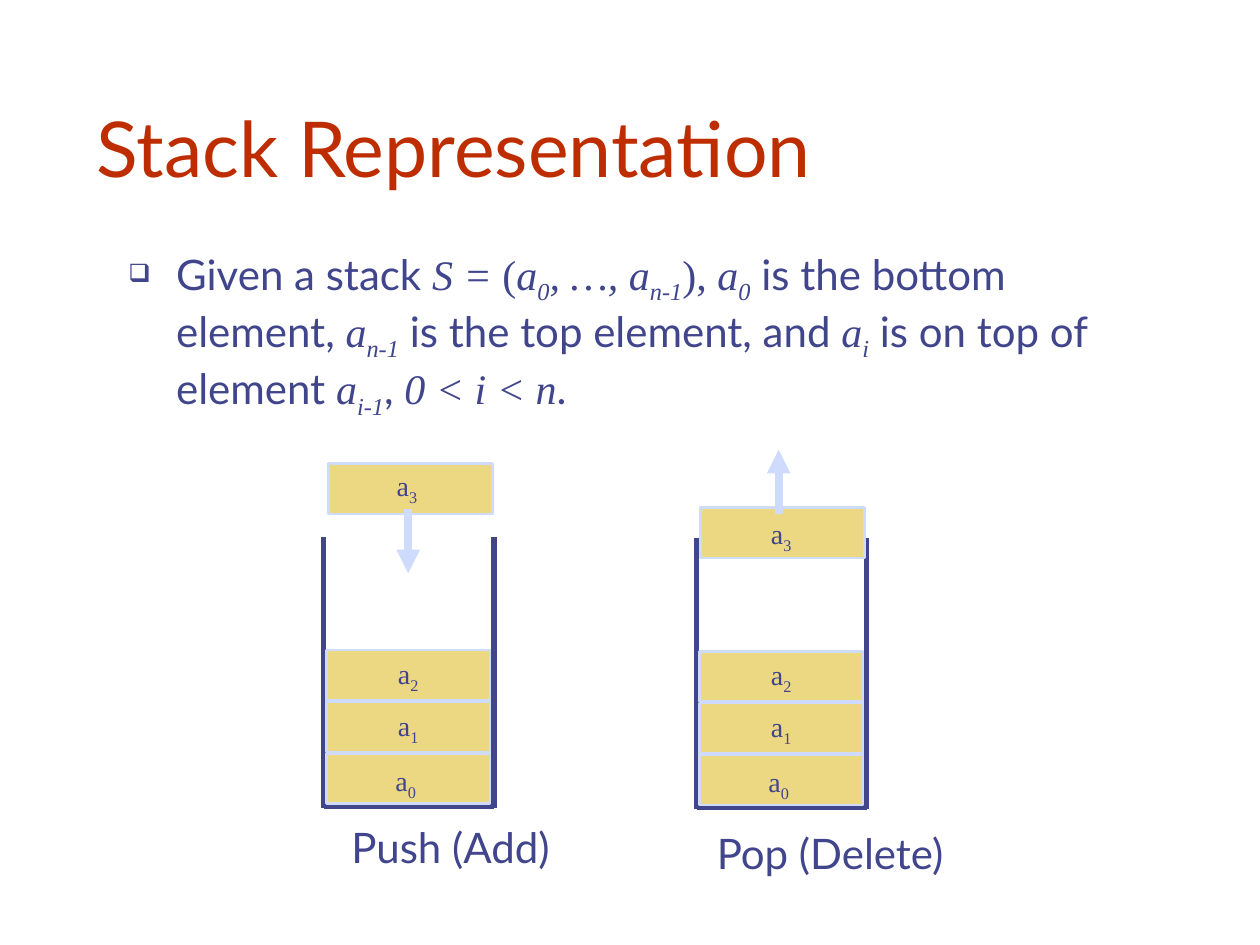
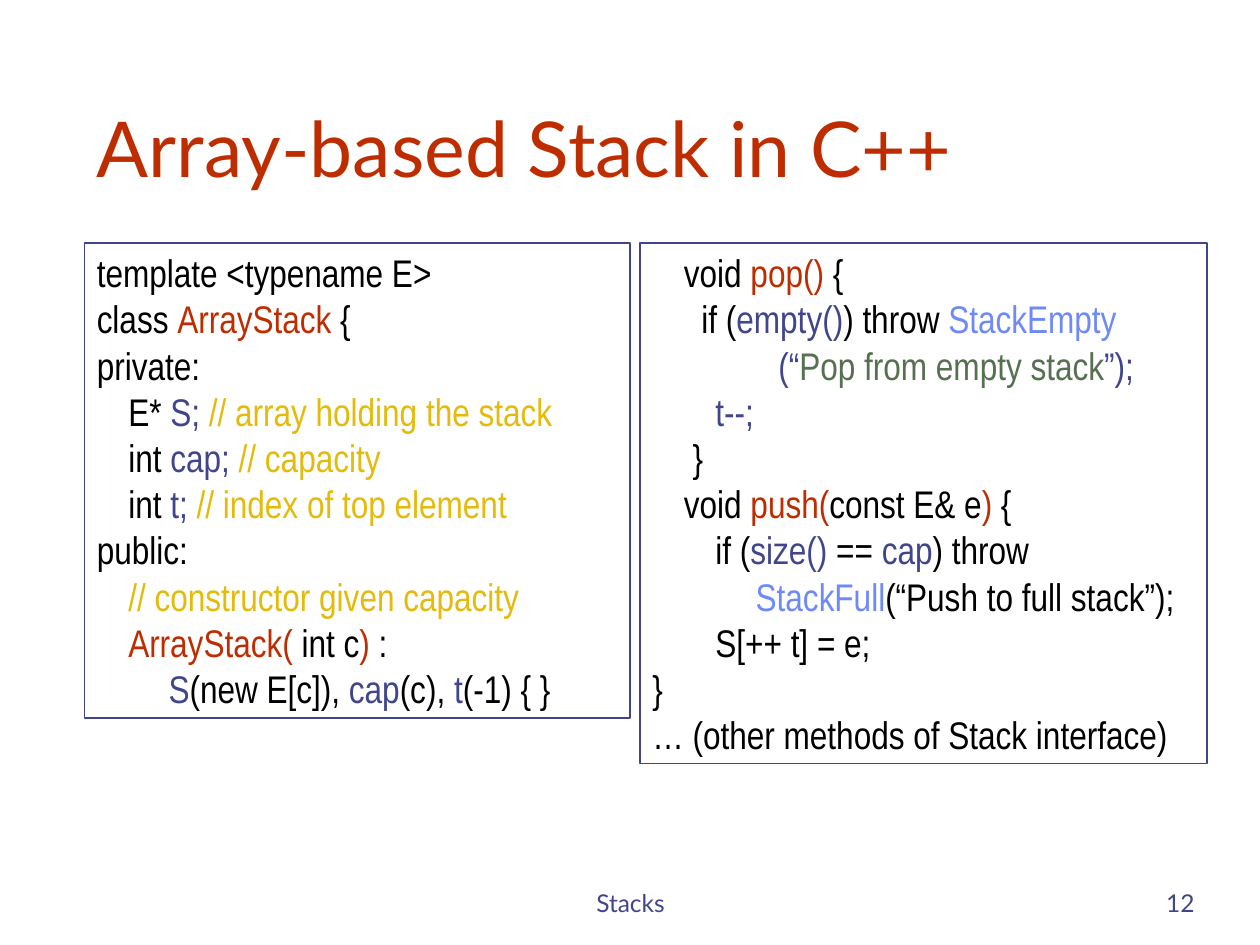
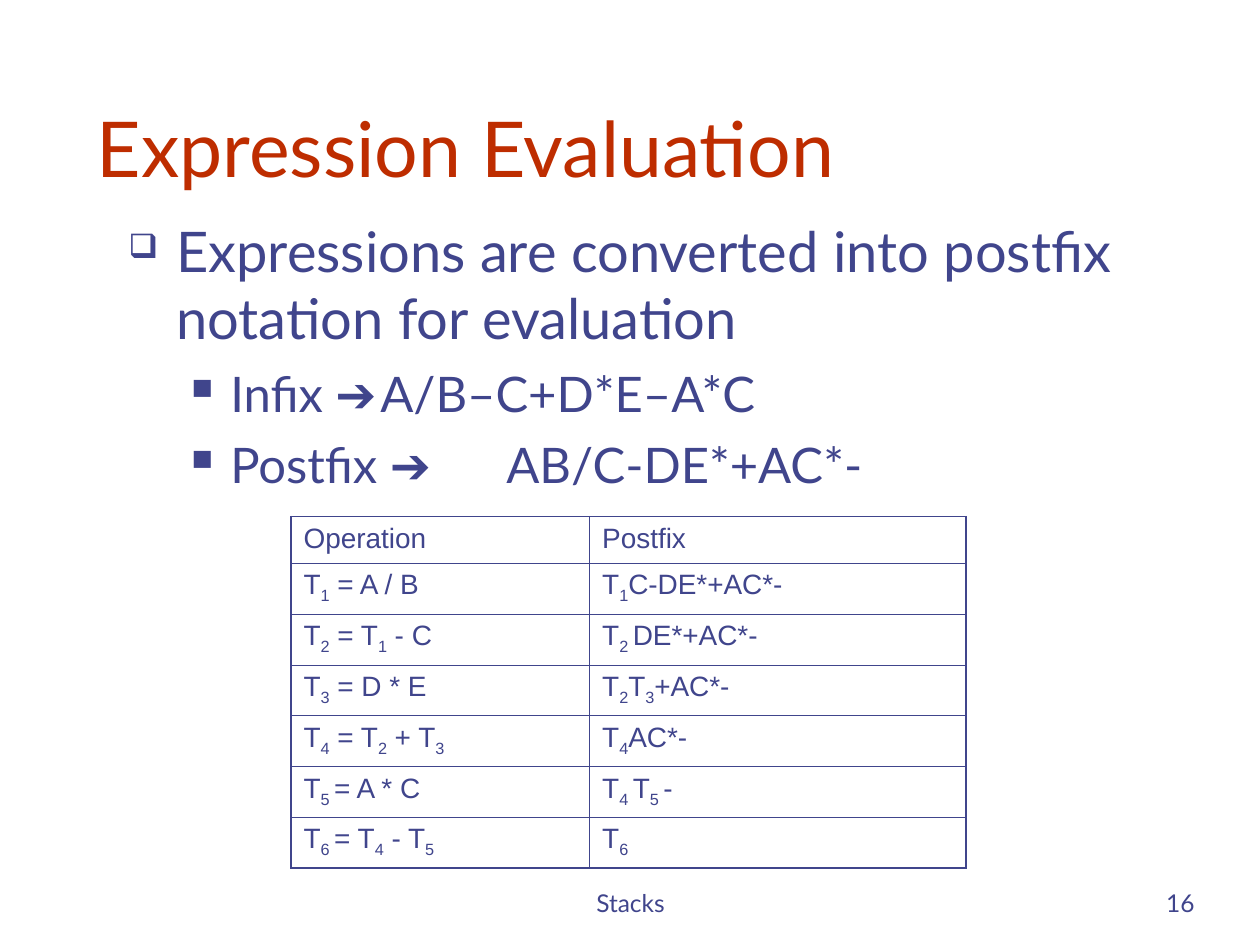
"""Build three slides on stacks: the idea, the code and postfix evaluation."""
from collections import namedtuple
from dataclasses import dataclass

from lxml import etree
from pptx import Presentation
from pptx.dml.color import RGBColor
from pptx.enum import shapes, text
from pptx.oxml import ns
from pptx.util import Inches, Pt


@dataclass(frozen=True)
class Theme:
    ink: str = "40458C"
    red: str = "BE2D00"
    black: str = "000000"
    gold: str = "E4BB0C"
    sky: str = "6F89F7"
    green: str = "577052"
    sand: str = "ECD882"
    pale: str = "CFDBFD"
    sans: str = "Lato"
    serif: str = "Times New Roman"
    code: str = "Arial Narrow"
    grid: str = "Arial"
    title: int = 44
    head: int = 32
    body: int = 24
    list: int = 22
    label: int = 16
    foot: int = 14


theme = Theme()
Look = namedtuple("Look", "ink face slant", defaults=(None, None, None))
plain = Look()
math = Look(face=theme.serif, slant=True)
roman = Look(face=theme.serif)
arrow = Look(face=theme.grid)
red, blue, gold, sky, green = (
    Look(ink) for ink in (theme.red, theme.ink, theme.gold, theme.sky, theme.green))
bullets = (("❑", 0.38, 0.38), ("■", 0.81, 0.31))
left, mid, right = text.PP_ALIGN.LEFT, text.PP_ALIGN.CENTER, text.PP_ALIGN.RIGHT


def write(frame, paras, size, face=theme.sans, ink=theme.ink, align=left, tabs=(), levels=()):
    """Fill a frame with paragraphs of (look, text) runs; bars enclose subscripts."""
    for num, runs in enumerate(paras):
        para = frame.add_paragraph() if num else frame.paragraphs[0]
        para.alignment = align
        props = para._p.get_or_add_pPr()
        level = levels[num] if levels else 0
        points = size - 4 * level
        if levels:
            mark, indent, hang = bullets[level]
            para.level = level
            props.set("marL", str(Inches(indent)))
            props.set("indent", str(-Inches(hang)))
            color = etree.SubElement(props, ns.qn("a:buClr"))
            etree.SubElement(color, ns.qn("a:srgbClr"), val=ink)
            etree.SubElement(props, ns.qn("a:buSzPct"), val="60000")
            etree.SubElement(props, ns.qn("a:buChar"), char=mark)
            if num:
                para.space_before = Pt(points / 4)
        if tabs:
            stops = etree.SubElement(props, ns.qn("a:tabLst"))
            for stop in tabs:
                etree.SubElement(stops, ns.qn("a:tab"), pos=str(Inches(stop)), algn="l")
        para.font.size = Pt(points)
        para.font.name = face
        para.font.color.rgb = RGBColor.from_string(ink)
        for look, words in [(plain, runs)] if isinstance(runs, str) else runs:
            for part, piece in enumerate(words.split("|")):
                for row, line in enumerate(piece.split("\n")):
                    if row:
                        para.add_line_break()
                    if not line:
                        continue
                    run = para.add_run()
                    run.text = line
                    run.font.name, run.font.italic = look.face, look.slant
                    if look.ink:
                        run.font.color.rgb = RGBColor.from_string(look.ink)
                    if part % 2:
                        run._r.get_or_add_rPr().set("baseline", "-25000")


def box(slide, at, paras=(), size=0, fill=None, line=None, width=0.75,
        anchor=text.MSO_ANCHOR.TOP, **style):
    """Add a text box, or a rectangle when a line colour is given."""
    place = [Inches(n) for n in at]
    if line:
        shape = slide.shapes.add_shape(shapes.MSO_SHAPE.RECTANGLE, *place)
        shape.shadow.inherit = False
        shape.line.color.rgb = RGBColor.from_string(line)
        shape.line.width = Pt(width)
        if fill:
            shape.fill.solid()
            shape.fill.fore_color.rgb = RGBColor.from_string(fill)
        else:
            shape.fill.background()
    else:
        shape = slide.shapes.add_textbox(*place)
    shape.text_frame.word_wrap = True
    shape.text_frame.vertical_anchor = anchor
    write(shape.text_frame, paras, size, **style)


deck = Presentation()
deck.slide_width, deck.slide_height = Inches(10), Inches(7.5)
low = text.MSO_ANCHOR.BOTTOM
slides = []
for title, page in (("Stack Representation", None), ("Array-based Stack in C++", "12"),
                    ("Expression Evaluation", "16")):
    slide = deck.slides.add_slide(deck.slide_layouts[6])
    slides.append(slide)
    box(slide, (0.67, 0.33, 8.5, 1.25), [title], theme.title, ink=theme.red, anchor=low)
    if page:
        box(slide, (3.42, 6.83, 3.17, 0.5), ["Stacks"], theme.foot, align=mid, anchor=low)
        box(slide, (7.5, 6.83, 2.08, 0.5), [page], theme.foot, align=right, anchor=low)
stack, code, table = slides

box(stack, (0.92, 1.92, 8.5, 4.5), [[
    (plain, "Given a stack "), (math, "S = "), (roman, "("), (math, "a|0|, …, a|n-1|"),
    (roman, "), "), (math, "a|0|"), (plain, " is the bottom element, "), (math, "a|n-1|"),
    (plain, " is the top element, and "), (math, "a|i|"), (plain, " is on top of element "),
    (math, "a|i-1|"), (plain, ", "), (math, "0 < i < n"), (plain, "."),
]], theme.body, levels=(0,))

for wall, floor, slot, label, shaft, name, spot in (
        (2.57, 6.4, (2.61, 3.68), (3.05, 3.67), (3.24, 4.04, 3.24, 4.55),
         "Push (Add)", (2.69, 6.47, 1.88, 0.5)),
        (5.53, 6.41, (5.56, 4.03), (6.02, 4.05), (6.18, 4.08, 6.18, 3.57),
         "Pop (Delete)", (5.59, 6.52, 2.11, 0.5))):
    far, top = wall + 1.35, floor - 2.14
    slots = [(wall + 0.02, floor - 0.42 - 0.41 * n) for n in range(3)] + [slot]
    labels = [(wall + 0.47, floor - 0.39)]
    labels += [(wall + 0.49, y) for _, y in slots[1:3]] + [label]
    lines = [(wall, top, wall, floor + 0.01), (far, top, far, floor + 0.01),
             (wall, floor, far, floor), shaft]
    for ends in lines:
        if ends is shaft:
            for at in slots:
                box(stack, (*at, 1.3, 0.4), fill=theme.sand, line=theme.pale, width=1.5)
        link = stack.shapes.add_connector(
            shapes.MSO_CONNECTOR.STRAIGHT, *[Inches(n) for n in ends])
        link.line.color.rgb = RGBColor.from_string(theme.pale if ends is shaft else theme.ink)
        link.line.width = Pt(4.5 if ends is shaft else 3)
        if ends is shaft:
            etree.SubElement(link.line._get_or_add_ln(), ns.qn("a:tailEnd"), type="triangle")
        etree.SubElement(link._element.spPr, ns.qn("a:effectLst"))
    for num, at in enumerate(labels):
        box(stack, (*at, 0.4, 0.41), [f"a|{num}|"], theme.label, face=theme.serif)
    box(stack, spot, [name], theme.body)

fields = [
    [(plain, "template <typename E>\nclass "), (red, "ArrayStack"), (plain, " {\nprivate:")],
    [(plain, "\tE*"), (blue, " S;"), (gold, " // array holding the stack\n\t"),
     (plain, "int"), (blue, " cap;"), (gold, " // capacity")],
    [(plain, "\tint"), (blue, " t;"), (gold, " // index of top element")],
    "public:",
    [(gold, "\t// constructor given capacity\n\t"), (red, "ArrayStack( "), (plain, "int c"),
     (red, ") "), (plain, ":\n\t\t "), (blue, "S"), (plain, "(new E[c]), "), (blue, "cap"),
     (plain, "(c), "), (blue, "t"), (plain, "(-1) { }")],
]
methods = [
    [(plain, "\tvoid "), (red, "pop()"), (plain, " {\n\t  if ("), (blue, "empty()"),
     (plain, ") throw "), (sky, "StackEmpty\n\t\t\t\t"), (blue, "(“"),
     (green, "Pop from empty stack"), (blue, "”);\n\t\tt--;\n\t "), (plain, "}")],
    [(plain, "\tvoid "), (red, "push("), (plain, "const E& e"), (red, ")"), (plain, " {")],
    [(plain, "\t\tif ("), (blue, "size() "), (plain, "== "), (blue, "cap"), (plain, ") throw")],
    [(plain, "\t\t\t"), (sky, " StackFull"), (plain, "(“Push to full stack”);")],
    "\t\tS[++ t] = e;",
    "}",
    "… (other methods of Stack interface)",
]
steps = [n / 4 for n in range(1, 8)]
for at, lines in (((0.67, 1.93, 4.33, 3.77), fields), ((5.08, 1.93, 4.5, 4.13), methods)):
    box(code, at, lines, theme.list, line=theme.ink, face=theme.code, ink=theme.black, tabs=steps)

box(table, (0.92, 1.67, 8.5, 4.5), [
    "Expressions are converted into postfix notation for evaluation",
    [(plain, "Infix "), (arrow, "➔\t"), (plain, "A/B–C+D*E–A*C")],
    [(plain, "Postfix "), (arrow, "➔\t"), (plain, "AB/C-DE*+AC*-")],
], theme.head, tabs=range(1, 9), levels=(0, 1, 1))

rows = (
    ("Operation", "Postfix"),
    ("T|1| = A / B", "T|1|C-DE*+AC*-"),
    ("T|2| = T|1| - C", "T|2 |DE*+AC*-"),
    ("T|3| = D * E", "T|2|T|3|+AC*-"),
    ("T|4| = T|2| + T|3|", "T|4|AC*-"),
    ("T|5 |= A * C", "T|4 |T|5 |-"),
    ("T|6 |= T|4| - T|5|", "T|6|"),
)
grid = table.shapes.add_table(
    len(rows), 2, Inches(2.31), Inches(4.1), Inches(5.36), Inches(2.77)).table
grid.first_row = grid.horz_banding = False
for col, width in zip(grid.columns, (2.37, 2.99)):
    col.width = Inches(width)
for y, row in enumerate(rows):
    grid.rows[y].height = Inches(0.4 if y else 0.37)
    for x, words in enumerate(row):
        cell = grid.cell(y, x)
        write(cell.text_frame, [words], theme.label, face=theme.grid)
        props = cell._tc.get_or_add_tcPr()
        for side, outer in (("L", x == 0), ("R", x == 1), ("T", y == 0),
                            ("B", y == len(rows) - 1)):
            edge = etree.SubElement(
                props, ns.qn(f"a:ln{side}"), w=str(Pt(1.08 if outer else 0.45)))
            color = etree.SubElement(edge, ns.qn("a:solidFill"))
            etree.SubElement(color, ns.qn("a:srgbClr"), val=theme.ink)
        cell.fill.background()

deck.save("out.pptx")
